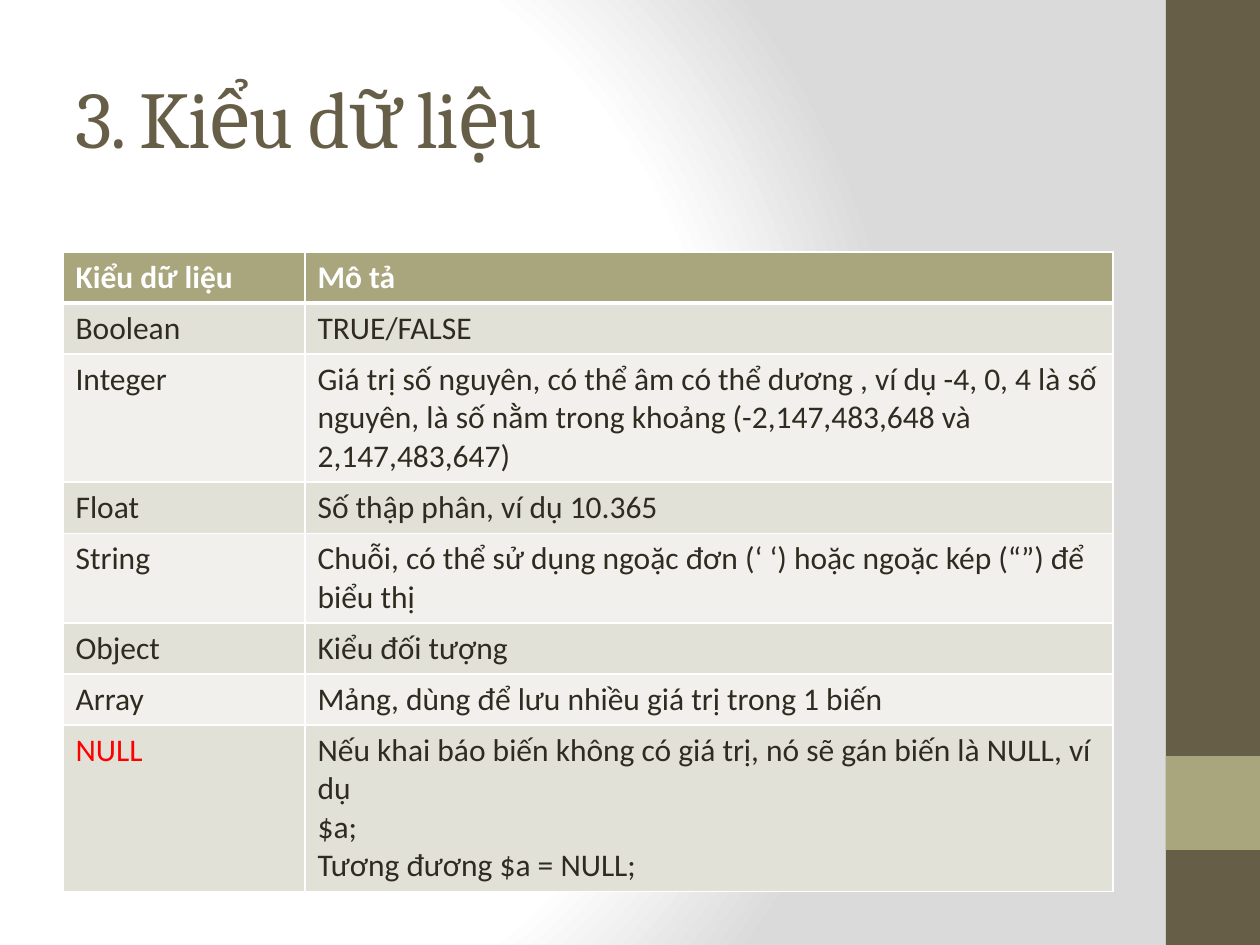
from lxml import etree
from pptx import Presentation
from pptx.dml.color import RGBColor
from pptx.enum.shapes import MSO_SHAPE
from pptx.enum.text import MSO_ANCHOR, PP_ALIGN
from pptx.oxml import parse_xml
from pptx.oxml.ns import qn
from pptx.util import Emu, Pt

RECTANGLE = MSO_SHAPE.RECTANGLE
MIDDLE = MSO_ANCHOR.MIDDLE
LEFT = PP_ALIGN.LEFT
TITLE_ONLY = 5
EMU_PER_PX = 914400 / 126
DRAWING_NS = "http://schemas.openxmlformats.org/drawingml/2006/main"

BROWN, OLIVE, INK = "675E47", "A9A57C", "2F2B20"
WHITE, RED = "FFFFFF", "FF0000"
BANDS = ("E2E1D7", "F1F0EC")
BACKGROUND_STOPS = ((0, WHITE), (75, WHITE), (100, "DADADA"))
COLUMN_WIDTHS = (242, 808)
ROW_HEIGHT = 51

HEADINGS = ("Kiểu dữ liệu", "Mô tả")
DATA_TYPES = (
    ("Boolean", "TRUE/FALSE"),
    ("Integer", "Giá trị số nguyên, có thể âm có thể dương , ví dụ -4, 0, 4 là số nguyên, "
                "là số nằm trong khoảng (-2,147,483,648 và 2,147,483,647)"),
    ("Float", "Số thập phân, ví dụ 10.365"),
    ("String", "Chuỗi, có thể sử dụng ngoặc đơn (‘ ‘) hoặc ngoặc kép (“”) để biểu thị"),
    ("Object", "Kiểu đối tượng"),
    ("Array", "Mảng, dùng để lưu nhiều giá trị trong 1 biến"),
    ("NULL", "Nếu khai báo biến không có giá trị, nó sẽ gán biến là NULL, ví dụ",
     "$a;", "Tương đương $a = NULL;"),
)


def px(length):
    """Turn pixels into EMU."""
    return Emu(round(length * EMU_PER_PX))


def paint(fill, color):
    """Give a fill one solid colour."""
    fill.solid()
    fill.fore_color.rgb = RGBColor.from_string(color)


def add_run(paragraph, text, font, size, color, bold=False):
    """Add one formatted run."""
    run = paragraph.add_run()
    run.text = text
    run.font.name = font
    run.font.size = Pt(size)
    run.font.bold = bold
    run.font.color.rgb = RGBColor.from_string(color)
    return run


def set_background(slide):
    """Fill the background with a circular gradient centred on the left."""
    slide.background.fill.solid()
    properties = slide.background._cSld.find(qn("p:bg")).find(qn("p:bgPr"))
    stops = "".join(
        f'<a:gs pos="{position * 1000}"><a:srgbClr val="{color}"/></a:gs>'
        for position, color in BACKGROUND_STOPS
    )
    gradient = parse_xml(
        f'<a:gradFill xmlns:a="{DRAWING_NS}" rotWithShape="1"><a:gsLst>{stops}</a:gsLst>'
        '<a:path path="circle"><a:fillToRect l="20000" t="50000" r="100000" b="50000"/>'
        "</a:path></a:gradFill>"
    )
    properties.replace(properties.find(qn("a:solidFill")), gradient)


def add_band(slide, left, top, width, height, color):
    """Add a plain rectangle of the side bar."""
    band = slide.shapes.add_shape(RECTANGLE, px(left), px(top), px(width), px(height))
    band.shadow.inherit = False
    paint(band.fill, color)
    band.line.fill.background()


def set_title(slide, text):
    """Place and format the title."""
    title = slide.shapes.title
    title.left, title.top, title.width, title.height = px(63), px(38), px(1050), px(157)
    frame = title.text_frame
    frame.word_wrap = True
    frame.vertical_anchor = MIDDLE
    heading = frame.paragraphs[0]
    heading.alignment = LEFT
    run = add_run(heading, text, "Cambria", 46, BROWN)
    run.font._element.set("spc", "-100")


def set_borders(cell, bottom_width):
    """Draw white lines on the four sides of a cell."""
    properties = cell._tc.get_or_add_tcPr()
    widths = {"lnL": 1, "lnR": 1, "lnT": 1, "lnB": bottom_width}
    for index, (side, width) in enumerate(widths.items()):
        line = etree.Element(qn(f"a:{side}"), w=str(Pt(width)))
        solid = etree.SubElement(line, qn("a:solidFill"))
        etree.SubElement(solid, qn("a:srgbClr"), val=WHITE)
        properties.insert(index, line)


def fill_cell(cell, lines, fill, color, bold=False, bottom_width=1):
    """Write the paragraphs of a cell and format it."""
    paint(cell.fill, fill)
    set_borders(cell, bottom_width)
    frame = cell.text_frame
    for index, line in enumerate(lines):
        paragraph = frame.add_paragraph() if index else frame.paragraphs[0]
        add_run(paragraph, line, "Calibri", 18, color, bold)


def add_type_table(slide):
    """Add the table of data types and their descriptions."""
    row_count = len(DATA_TYPES) + 1
    table = slide.shapes.add_table(
        row_count, len(COLUMN_WIDTHS), px(63), px(252),
        px(sum(COLUMN_WIDTHS)), px(row_count * ROW_HEIGHT),
    ).table
    table.horz_banding = False
    for column, width in zip(table.columns, COLUMN_WIDTHS):
        column.width = px(width)
    for row in table.rows:
        row.height = px(ROW_HEIGHT)
    for column, heading in enumerate(HEADINGS):
        fill_cell(table.cell(0, column), [heading], OLIVE, WHITE, bold=True, bottom_width=3)
    for index, (name, *description) in enumerate(DATA_TYPES):
        band = BANDS[index % len(BANDS)]
        name_color = RED if name == "NULL" else INK
        fill_cell(table.cell(index + 1, 0), [name], band, name_color)
        fill_cell(table.cell(index + 1, 1), description, band, INK)


def main():
    """Build the slide and save it."""
    deck = Presentation()
    deck.slide_width, deck.slide_height = px(1260), px(945)
    slide = deck.slides.add_slide(deck.slide_layouts[TITLE_ONLY])
    set_background(slide)
    add_band(slide, 1166, 0, 94, 945, BROWN)
    add_band(slide, 1166, 756, 94, 94, OLIVE)
    set_title(slide, "3. Kiểu dữ liệu")
    add_type_table(slide)
    deck.save("out.pptx")


if __name__ == "__main__":
    main()
